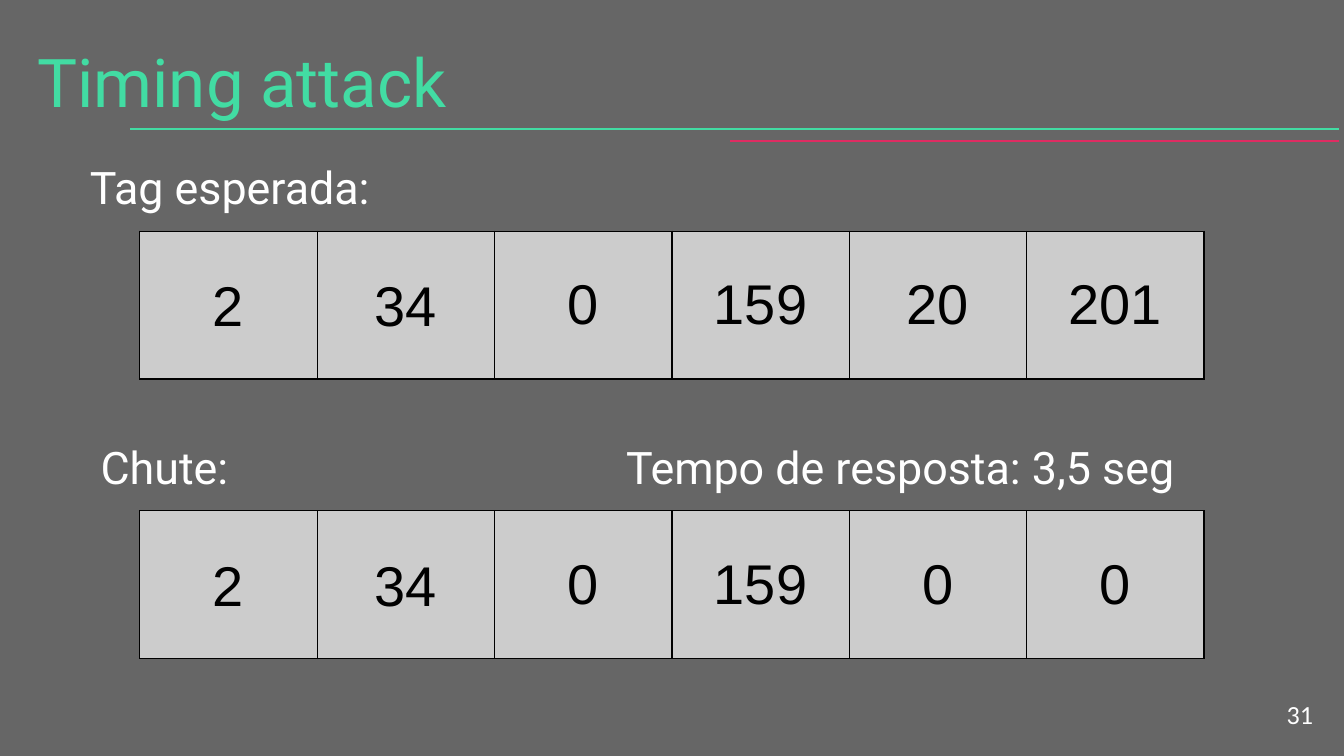
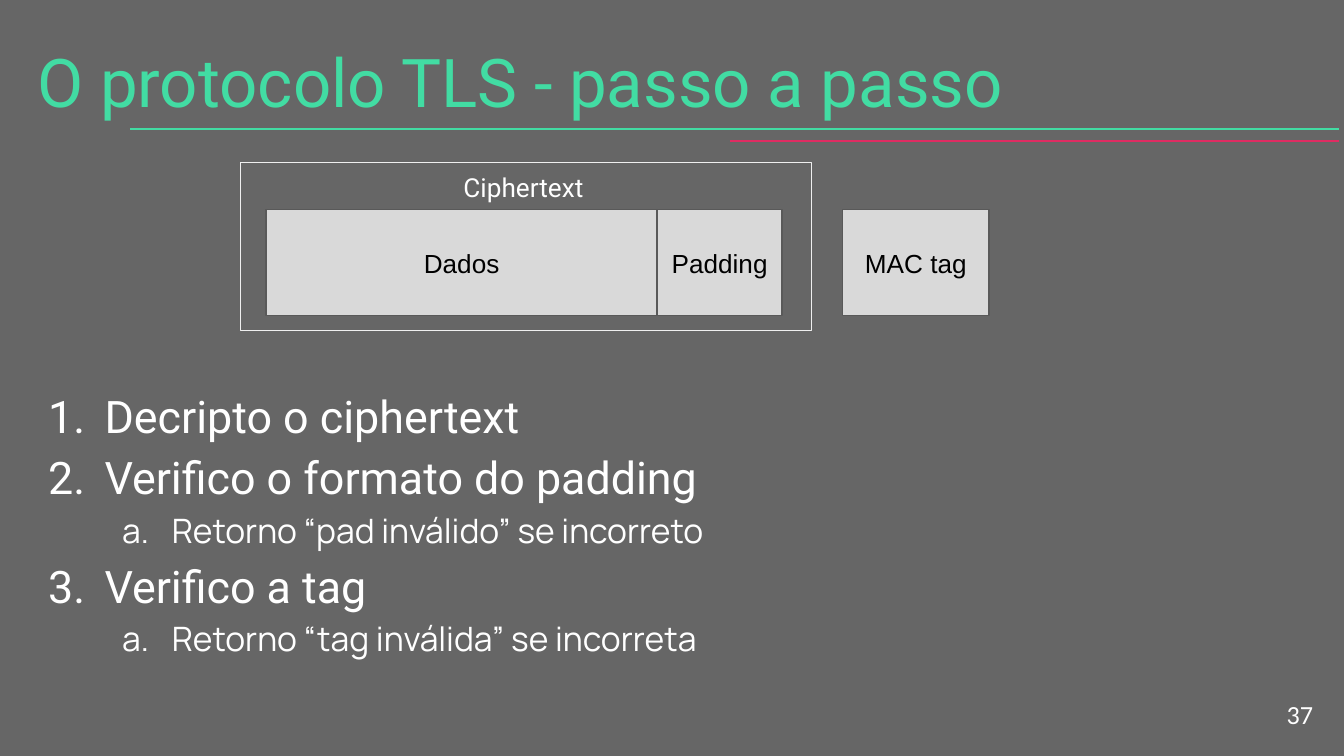
from dataclasses import dataclass

from lxml.etree import SubElement
from pptx import Presentation
from pptx.dml.color import RGBColor
from pptx.enum.shapes import MSO_CONNECTOR as Connector
from pptx.enum.shapes import MSO_SHAPE as Preset
from pptx.enum.text import MSO_ANCHOR as Anchor
from pptx.enum.text import PP_ALIGN as Align
from pptx.oxml.ns import qn
from pptx.slide import Slide
from pptx.table import _Cell as Cell
from pptx.text.text import TextFrame, _Paragraph as Paragraph
from pptx.util import Inches, Pt


@dataclass(frozen=True)
class TextStyle:
    font: str
    size: int
    color: str
    align: Align = Align.LEFT
    anchor: Anchor = Anchor.TOP


@dataclass(frozen=True)
class Theme:
    background: str = "666666"
    green: str = "42DCA3"
    red: str = "DF2C62"
    cell: str = "CCCCCC"
    border: str = "000000"
    block: str = "D9D9D9"
    block_edge: str = "595959"
    frame_edge: str = "EFEFEF"
    line_width: float = 0.75
    title: TextStyle = TextStyle("Roboto", 36, "42DCA3")
    label: TextStyle = TextStyle("Roboto", 24, "FFFFFF")
    substep: TextStyle = TextStyle("Manrope", 18, "FFFFFF")
    number: TextStyle = TextStyle("Calibri", 14, "FFFFFF", Align.RIGHT, Anchor.MIDDLE)
    value: TextStyle = TextStyle("Arial", 30, "000000", Align.CENTER, Anchor.MIDDLE)
    block_text: TextStyle = TextStyle("Arial", 14, "000000", Align.CENTER, Anchor.MIDDLE)
    caption: TextStyle = TextStyle("Roboto", 14, "FFFFFF", Align.CENTER, Anchor.MIDDLE)


@dataclass(frozen=True)
class Area:
    left: float
    top: float
    width: float
    height: float

    def lengths(self) -> list[Inches]:
        return [Inches(side) for side in (self.left, self.top, self.width, self.height)]


@dataclass(frozen=True)
class Rule:
    left: float
    top: float
    color: str


@dataclass(frozen=True)
class TagRow:
    top: float
    values: tuple[str, ...]


@dataclass(frozen=True)
class Label:
    text: str
    area: Area


@dataclass(frozen=True)
class Level:
    style: TextStyle
    scheme: str
    margin: float
    hanging: float


@dataclass(frozen=True)
class Step:
    text: str
    level: int = 0


THEME = Theme()
RULE_END = 9.96
RULES = (Rule(0.97, 0.96, THEME.green), Rule(5.43, 1.05, THEME.red))
TITLE_AREA = Area(0.18, 0.2, 8.97, 0.67)
NUMBER_AREA = Area(9.27, 5.1, 0.6, 0.43)

TAG_LEFT, CELL_WIDTH, CELL_HEIGHT = 1.04, 1.32, 1.1
OVERLAY_COUNT, OVERLAY_DROP, OVERLAY_HEIGHT = 2, 0.02, 1.05
TAG_ROWS = (
    TagRow(3.8, ("2", "34", "0", "159", "0", "0")),
    TagRow(1.72, ("2", "34", "0", "159", "20", "201")),
)
TAG_LABELS = (
    Label("Tag esperada:", Area(0.57, 1.09, 2.71, 0.43)),
    Label("Chute:", Area(0.65, 3.17, 2.71, 0.43)),
    Label("Tempo de resposta: 3,5 seg", Area(4.56, 3.17, 4.47, 0.43)),
)

BLOCKS = (
    Label("Dados", Area(1.98, 1.56, 2.91, 0.79)),
    Label("Padding", Area(4.89, 1.56, 0.93, 0.79)),
    Label("MAC tag", Area(6.27, 1.56, 1.09, 0.79)),
)
CIPHERTEXT_AREA = Area(1.79, 1.21, 4.25, 1.25)
CIPHERTEXT_LABEL = Label("Ciphertext", Area(2.85, 1.27, 2.09, 0.24))
STEPS_AREA = Area(0.18, 2.73, 9.26, 2.72)
LEVELS = (
    Level(THEME.label, "arabicPeriod", 0.5, 0.42),
    Level(THEME.substep, "alphaLcPeriod", 1, 0.37),
)
STEPS = (
    Step("Decripto o ciphertext"),
    Step("Verifico o formato do padding"),
    Step("Retorno “pad inválido” se incorreto", 1),
    Step("Verifico a tag"),
    Step("Retorno “tag inválida” se incorreta", 1),
)


def rgb(color: str) -> RGBColor:
    return RGBColor.from_string(color)


def style_paragraph(para: Paragraph, style: TextStyle) -> None:
    para.alignment = style.align
    for span in para.runs:
        span.font.name = style.font
        span.font.size = Pt(style.size)
        span.font.bold = False
        span.font.color.rgb = rgb(style.color)


def fill_frame(frame: TextFrame, text: str, style: TextStyle) -> None:
    frame.word_wrap = True
    frame.vertical_anchor = style.anchor
    frame.margin_left = frame.margin_right = Inches(0.1)
    frame.margin_top = frame.margin_bottom = Inches(0.1)
    frame.text = text
    for para in frame.paragraphs:
        style_paragraph(para, style)


def add_text(page: Slide, text: str, area: Area, style: TextStyle) -> TextFrame:
    box = page.shapes.add_textbox(*area.lengths())
    fill_frame(box.text_frame, text, style)
    return box.text_frame


def add_rule(page: Slide, rule: Rule) -> None:
    line = page.shapes.add_connector(
        Connector.STRAIGHT,
        Inches(rule.left), Inches(rule.top), Inches(RULE_END), Inches(rule.top),
    )
    line.line.color.rgb = rgb(rule.color)
    line.line.width = Pt(THEME.line_width)
    SubElement(line._element.spPr, qn("a:effectLst"))


def add_page(deck: Presentation, title: str, number: int) -> Slide:
    page = deck.slides.add_slide(deck.slide_layouts[6])
    page.background.fill.solid()
    page.background.fill.fore_color.rgb = rgb(THEME.background)
    for rule in RULES:
        add_rule(page, rule)
    add_text(page, title, TITLE_AREA, THEME.title)
    add_text(page, str(number), NUMBER_AREA, THEME.number)
    return page


def paint_cell(cell: Cell) -> None:
    properties = cell._tc.get_or_add_tcPr()
    for side in ("lnL", "lnR", "lnT", "lnB"):
        edge = SubElement(properties, qn(f"a:{side}"), w=str(Pt(THEME.line_width)))
        SubElement(SubElement(edge, qn("a:solidFill")), qn("a:srgbClr"), val=THEME.border)
    cell.fill.solid()
    cell.fill.fore_color.rgb = rgb(THEME.cell)


def add_tag_row(page: Slide, row: TagRow) -> None:
    count = len(row.values)
    area = Area(TAG_LEFT, row.top, count * CELL_WIDTH, CELL_HEIGHT)
    table = page.shapes.add_table(1, count, *area.lengths()).table
    table.first_row = table.horz_banding = False
    for index, value in enumerate(row.values):
        cell = table.cell(0, index)
        paint_cell(cell)
        if index < OVERLAY_COUNT:
            left = TAG_LEFT + index * CELL_WIDTH
            overlay = Area(left, row.top + OVERLAY_DROP, CELL_WIDTH, OVERLAY_HEIGHT)
            add_text(page, value, overlay, THEME.value)
        else:
            cell.text_frame.text = value
            cell.vertical_anchor = THEME.value.anchor
            style_paragraph(cell.text_frame.paragraphs[0], THEME.value)


def add_box(page: Slide, area: Area, edge: str, fill: str = "", text: str = "") -> None:
    box = page.shapes.add_shape(Preset.RECTANGLE, *area.lengths())
    box.shadow.inherit = False
    box.line.color.rgb = rgb(edge)
    box.line.width = Pt(THEME.line_width)
    if fill:
        box.fill.solid()
        box.fill.fore_color.rgb = rgb(fill)
    else:
        box.fill.background()
    if text:
        fill_frame(box.text_frame, text, THEME.block_text)


def number_paragraph(para: Paragraph, level: Level) -> None:
    properties = para._p.get_or_add_pPr()
    properties.set("marL", str(Inches(level.margin)))
    properties.set("indent", str(-Inches(level.hanging)))
    color = SubElement(properties, qn("a:buClr"))
    SubElement(color, qn("a:srgbClr"), val=level.style.color)
    SubElement(properties, qn("a:buFont"), typeface=level.style.font)
    SubElement(properties, qn("a:buAutoNum"), type=level.scheme)


def add_steps(page: Slide) -> None:
    text = "\n".join(step.text for step in STEPS)
    frame = add_text(page, text, STEPS_AREA, THEME.label)
    for para, step in zip(frame.paragraphs, STEPS):
        level = LEVELS[step.level]
        para.level = step.level
        para.line_spacing = 1.15
        style_paragraph(para, level.style)
        number_paragraph(para, level)


def build_timing_attack(deck: Presentation) -> None:
    page = add_page(deck, "Timing attack", 31)
    for row in TAG_ROWS:
        add_tag_row(page, row)
    for label in TAG_LABELS:
        add_text(page, label.text, label.area, THEME.label)


def build_tls_protocol(deck: Presentation) -> None:
    page = add_page(deck, "O protocolo TLS - passo a passo", 37)
    add_steps(page)
    for block in BLOCKS:
        add_box(page, block.area, THEME.block_edge, THEME.block, block.text)
    add_box(page, CIPHERTEXT_AREA, THEME.frame_edge)
    add_text(page, CIPHERTEXT_LABEL.text, CIPHERTEXT_LABEL.area, THEME.caption)


def main() -> None:
    deck = Presentation()
    deck.slide_width = Inches(10)
    deck.slide_height = deck.slide_width * 9 // 16
    build_timing_attack(deck)
    build_tls_protocol(deck)
    deck.save("out.pptx")


if __name__ == "__main__":
    main()
